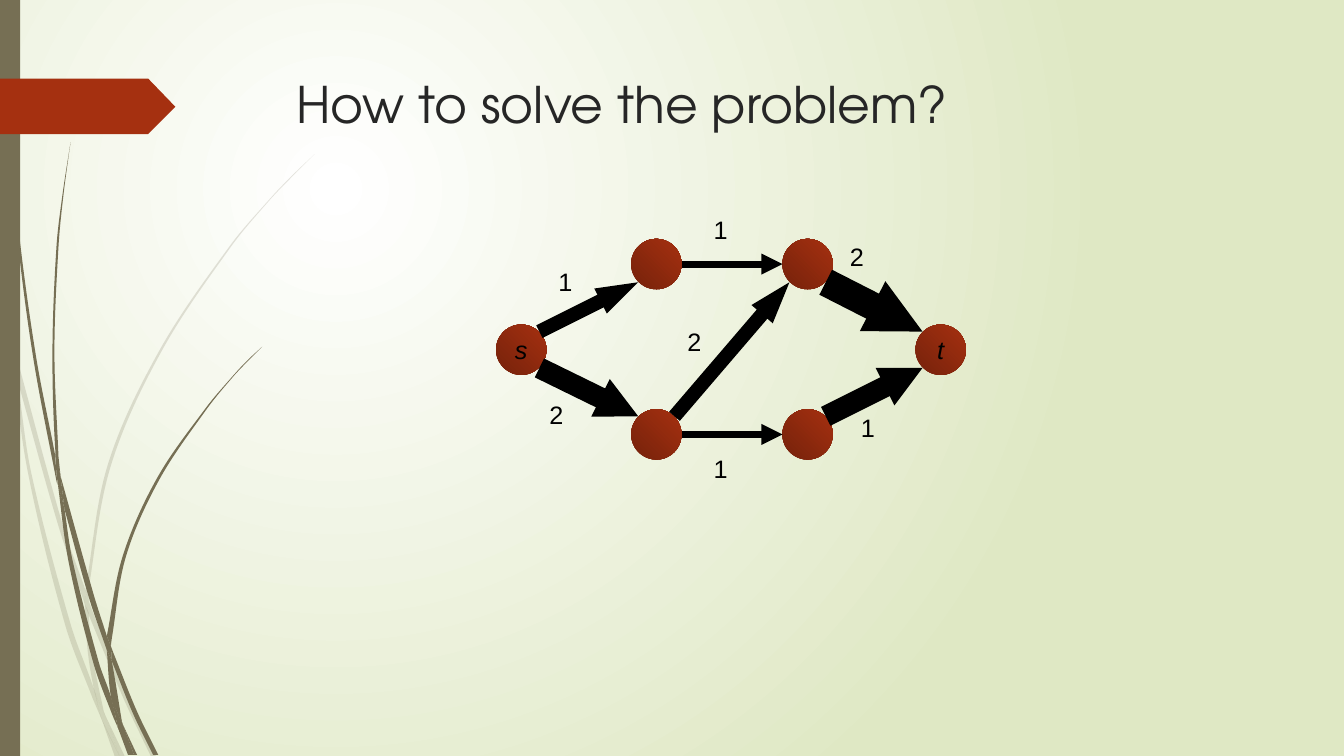
from math import dist
from lxml import etree
from pptx import Presentation
from pptx.dml.color import RGBColor
from pptx.enum.shapes import MSO_CONNECTOR, MSO_SHAPE
from pptx.enum.text import MSO_ANCHOR, MSO_AUTO_SIZE, PP_ALIGN
from pptx.oxml.ns import qn
from pptx.util import Pt

PX = 9144  # EMU, a hundredth of an inch
WIDTH, HEIGHT = 1333, 750
OVAL, RECTANGLE = MSO_SHAPE.OVAL, MSO_SHAPE.RECTANGLE
STRAIGHT = MSO_CONNECTOR.STRAIGHT
TOP, MIDDLE = MSO_ANCHOR.TOP, MSO_ANCHOR.MIDDLE
LEFT, CENTER = PP_ALIGN.LEFT, PP_ALIGN.CENTER
FIT_SHAPE = MSO_AUTO_SIZE.SHAPE_TO_FIT_TEXT

OLIVE, RUST, DARK_RUST, BLACK = "766F54", "A53010", "76220B", "000000"
RADIUS, DIAGONAL = 25, 18

TITLE_FORMAT = {"name": "TeX Gyre Adventor", "size": Pt(36)}
LABEL_FORMAT = {"name": "Arial", "size": Pt(18)}
NODE_FORMAT = {**LABEL_FORMAT, "italic": True}

# Each blade of grass has two edges: one down its side, one back again.
FAINT_BLADES = [
    ([(0, 282), (9, 322), (11, 350)], [(10, 344), (0, 299)]),
    ([(14, 345), (62, 520), (85, 586)], [(84, 599), (58, 522), (17, 376)]),
    ([(88, 596), (92, 607), (127, 692), (155, 751)], [(150, 751), (123, 694), (88, 610)]),
    ([(105, 711), (124, 751)], [(119, 751)]),
    ([(11, 350), (17, 376), (31, 469), (70, 619), (93, 683), (99, 707), (101, 714)],
     [(92, 693), (65, 621), (28, 470), (11, 350)]),
    ([(84, 599), (88, 608), (88, 610), (91, 646), (103, 706), (105, 711)],
     [(96, 692), (93, 683), (87, 646), (84, 599)]),
    ([(85, 586), (85, 584), (107, 461), (158, 348), (228, 244), (268, 197),
      (289, 175), (312, 153)],
     [(290, 175), (268, 198), (229, 245), (160, 349), (110, 462), (88, 584), (88, 596)]),
    ([(101, 714), (119, 751)], [(114, 751)]),
    ([(85, 586), (88, 596)], [(88, 610), (84, 599)]),
    ([(93, 683), (99, 707), (101, 714), (119, 751)], [(105, 711), (96, 692)]),
]
BOLD_BLADES = [
    ([(3, 0), (4, 48), (7, 110), (17, 233), (33, 355), (56, 477), (57, 481)],
     [(55, 457), (55, 453), (36, 355), (19, 232), (8, 109), (5, 48), (4, 0)]),
    ([(60, 472), (93, 590), (106, 631)], [(106, 645), (88, 592), (64, 505)]),
    ([(110, 641), (113, 649), (136, 706), (157, 749)], [(152, 749), (132, 708), (111, 656)]),
    ([(57, 477), (68, 557), (93, 659), (111, 708), (117, 722)],
     [(116, 717), (110, 691), (98, 657), (72, 556), (64, 505)]),
    ([(70, 141), (62, 193), (56, 245), (52, 349), (55, 449), (60, 472)],
     [(58, 453), (54, 349), (58, 245), (63, 193), (70, 141)]),
    ([(122, 719), (136, 749)], [(133, 749)]),
    ([(55, 449), (55, 453), (57, 477), (64, 505)], [(60, 472)]),
    ([(106, 631), (122, 551), (156, 474), (204, 405), (231, 373), (245, 358), (260, 344)],
     [(245, 359), (231, 374), (205, 406), (158, 476), (125, 552), (111, 633), (110, 641)]),
    ([(117, 722), (131, 749)], [(127, 749)]),
    ([(106, 645), (110, 691), (116, 706), (122, 719)], [(121, 716), (111, 656), (109, 651)]),
    ([(106, 631), (110, 641)], [(111, 656), (109, 651), (106, 645)]),
    ([(110, 691), (116, 717), (117, 722), (130, 749)], [(133, 749), (122, 719), (116, 706)]),
]
RIBBON = [(0, 78), (147, 78), (174, 106), (147, 133), (0, 133)]

NODES = {"s": (517, 347), "upper left": (651, 262), "upper right": (801, 262),
         "lower left": (651, 431), "lower right": (801, 431), "t": (933, 347)}
# From, to, line width, arrowhead width and length, weight, place of the weight
EDGES = [
    ("upper left", "upper right", 5, "med", "med", "1", (698, 208)),
    ("s", "upper left", 10, "sm", "med", "1", (544, 259)),
    ("s", "lower left", 15, "sm", "sm", "2", (535, 391)),
    ("lower left", "upper right", 10, "sm", "med", "2", (672, 319)),
    ("upper right", "t", 20, "sm", "sm", "2", (833, 234)),
    ("lower left", "lower right", 5, "med", "med", "1", (698, 445)),
    ("lower right", "t", 15, "sm", "sm", "1", (844, 404)),
]


def rgb(code):
    return RGBColor.from_string(code)


def emu(*lengths):
    return [round(length * PX) for length in lengths]


def paint(shape, color):
    shape.shadow.inherit = False
    shape.line.fill.background()
    shape.fill.solid()
    shape.fill.fore_color.rgb = rgb(color)


def grade(fill, first, last):
    fill.gradient()
    for stop, color in zip(fill.gradient_stops, (first, last)):
        stop.color.rgb = rgb(color)


def add_outline(shapes, points, color):
    start, *others = [emu(*point) for point in points]
    builder = shapes.build_freeform(*start)
    builder.add_line_segments(others, close=True)
    outline = builder.convert_to_shape()
    paint(outline, color)
    return outline


def edge_handles(points):
    """Both Bezier handles of each stretch of an edge, a third of its length."""
    padded = [points[0], *points, points[-1]]
    for before, start, end, after in zip(padded, padded[1:], padded[2:], padded[3:]):
        reach = dist(start, end) / 3
        leave, arrive = reach / dist(before, end), reach / dist(start, after)
        yield ([s + (e - b) * leave for b, s, e in zip(before, start, end)],
               [e - (a - s) * arrive for s, e, a in zip(start, end, after)])


def bend(outline, edges):
    """Turn the straight stretches along each edge into curves."""
    lines = list(outline.element.iter(qn("a:lnTo")))
    down, back = edges
    handles = [*edge_handles(down), None, *edge_handles(back)]
    for line, pair in zip(lines, handles):
        if pair is None:
            continue
        line.tag = qn("a:cubicBezTo")
        for index, handle in enumerate(pair):
            x, y = emu(*handle)
            point = etree.Element(qn("a:pt"), x=str(x - outline.left), y=str(y - outline.top))
            line.insert(index, point)


def add_grass(page, blades, opacity):
    group = page.shapes.add_group_shape()
    for edges in blades:
        blade = add_outline(group.shapes, edges[0] + edges[1], OLIVE)
        bend(blade, edges)
        if opacity < 100:
            color = blade.element.spPr.find(f"{qn('a:solidFill')}/{qn('a:srgbClr')}")
            etree.SubElement(color, qn("a:alpha"), val=str(opacity * 1000))


def set_background(page):
    """Radial gradient around a point near the upper left."""
    grade(page.background.fill, "FFFFFF", "DFE8C4")
    gradient = page.element.find(f".//{qn('a:gradFill')}")
    gradient.remove(gradient.find(qn("a:lin")))
    circle = etree.SubElement(gradient, qn("a:path"), path="circle")
    etree.SubElement(circle, qn("a:fillToRect"), l="50000", t="50000", r="100000", b="100000")


def write(shape, text, formats, color=BLACK, align=LEFT, anchor=TOP, wrap=False):
    frame = shape.text_frame
    frame.word_wrap = wrap
    frame.vertical_anchor = anchor
    para = frame.paragraphs[0]
    para.alignment = align
    span = para.add_run()
    span.text = text
    for name, value in formats.items():
        setattr(span.font, name, value)
    span.font.color.rgb = rgb(color)


def add_node(page, name, x, y):
    node = page.shapes.add_shape(OVAL, *emu(x - RADIUS, y - RADIUS, 2 * RADIUS, 2 * RADIUS))
    node.shadow.inherit = False
    node.line.fill.background()
    grade(node.fill, DARK_RUST, RUST)
    node.fill.gradient_angle = 45
    if name in ("s", "t"):
        write(node, name, NODE_FORMAT, align=CENTER, anchor=MIDDLE)


def add_edge(page, start, end, width, head_width, head_length):
    """Arrow from rim to rim of two nodes, level or on the diagonal points."""
    (x1, y1), (x2, y2) = start, end
    rise = (y2 > y1) - (y2 < y1)
    across, down = (DIAGONAL, rise * DIAGONAL) if rise else (RADIUS, 0)
    edge = page.shapes.add_connector(
        STRAIGHT, *emu(x1 + across, y1 + down, x2 - across, y2 - down))
    edge.line.width = Pt(width)
    edge.line.color.rgb = rgb(BLACK)
    line = edge.element.spPr.find(qn("a:ln"))
    etree.SubElement(line, qn("a:tailEnd"), type="triangle", w=head_width, len=head_length)
    etree.SubElement(edge.element.spPr, qn("a:effectLst"))


def add_weight(page, text, x, y):
    box = page.shapes.add_textbox(*emu(x, y, 34, 40))
    write(box, text, LABEL_FORMAT)
    box.text_frame.auto_size = FIT_SHAPE


def main():
    deck = Presentation()
    deck.slide_width, deck.slide_height = emu(WIDTH, HEIGHT)
    page = deck.slides.add_slide(deck.slide_layouts[6])
    set_background(page)
    add_grass(page, FAINT_BLADES, 20)
    add_grass(page, BOLD_BLADES, 100)
    paint(page.shapes.add_shape(RECTANGLE, *emu(0, 0, 20, HEIGHT)), OLIVE)
    add_outline(page.shapes, RIBBON, RUST)
    title = page.shapes.add_textbox(*emu(284, 68, 975, 140))
    write(title, "How to solve the problem?", TITLE_FORMAT, "262626", wrap=True)
    for name, place in NODES.items():
        add_node(page, name, *place)
    for start, end, *style, _, _ in EDGES:
        add_edge(page, NODES[start], NODES[end], *style)
    for *_, weight, place in EDGES:
        add_weight(page, weight, *place)
    deck.save("out.pptx")


if __name__ == "__main__":
    main()
